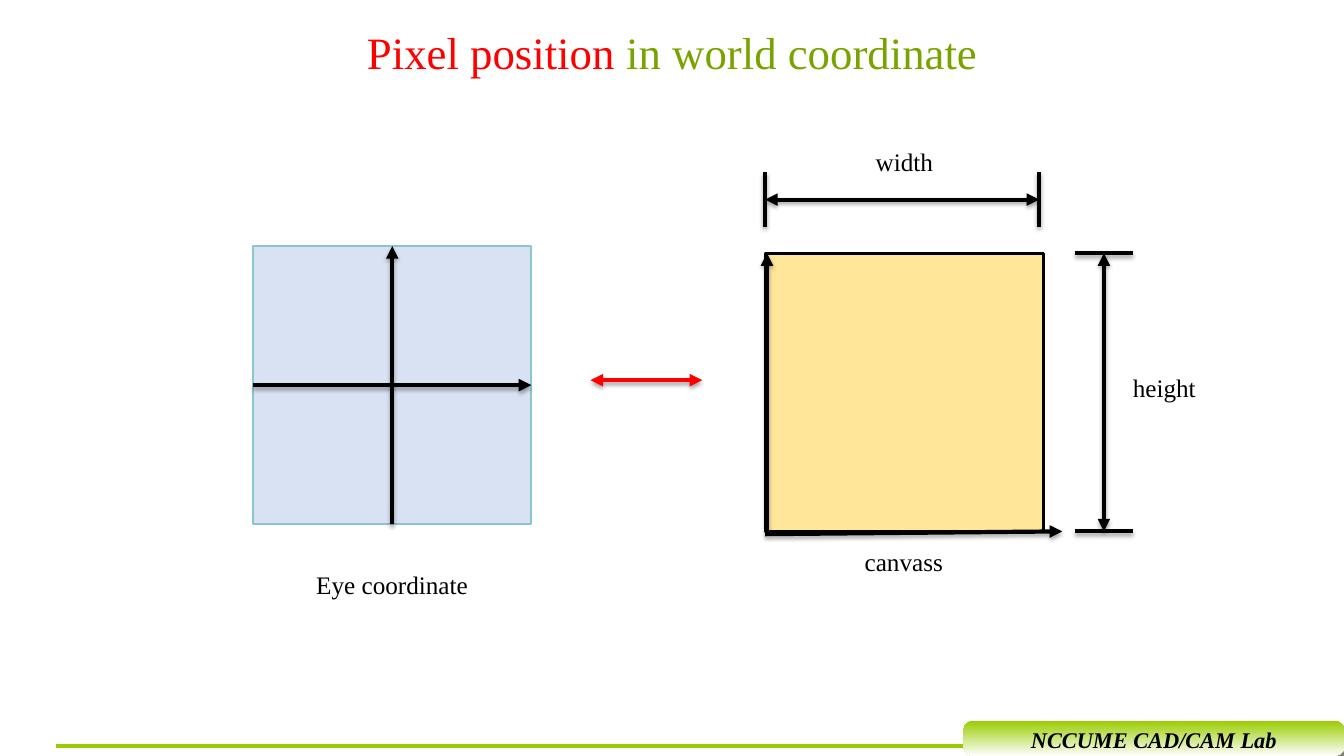
"""Build the slide relating the eye coordinate square to the canvass in pixels."""
from lxml import etree
from pptx import Presentation
from pptx import util as u
from pptx.dml.color import RGBColor
from pptx.enum import shapes, text
from pptx.oxml import ns

BLACK = RGBColor(0x00, 0x00, 0x00)
RED = RGBColor(0xFF, 0x00, 0x00)
GREEN = RGBColor(0x79, 0xA4, 0x00)
LIME = RGBColor(0x99, 0xCC, 0x00)
WHITE = RGBColor(0xFF, 0xFF, 0xFF)
GREY = RGBColor(0x80, 0x80, 0x80)
YELLOW = RGBColor(0xFF, 0xE6, 0x99)
BLUE = RGBColor(0xB4, 0xC7, 0xE7)
TEAL = RGBColor(0x8A, 0xC6, 0xCD)

deck = Presentation()
deck.slide_width, deck.slide_height = u.Cm(33.87), u.Cm(19.05)
slide = deck.slides.add_slide(deck.slide_layouts[6])


def draw_line(start, end, color=BLACK, arrows=(), shadow=True):
    line = slide.shapes.add_connector(
        shapes.MSO_CONNECTOR.STRAIGHT, *[u.Cm(v) for v in (*start, *end)])
    line.line.color.rgb = color
    line.line.width = u.Pt(3)
    for arrow in arrows:
        etree.SubElement(line.line._get_or_add_ln(), ns.qn(f"a:{arrow}"), type="triangle")
    effects = etree.SubElement(line._element.spPr, ns.qn("a:effectLst"))
    if shadow:
        cast = etree.SubElement(effects, ns.qn("a:outerShdw"), blurRad="39370",
                                dist="22860", dir="5400000", rotWithShape="0")
        tone = etree.SubElement(cast, ns.qn("a:srgbClr"), val=str(BLACK))
        etree.SubElement(tone, ns.qn("a:alpha"), val="35000")


def write(left, top, width, height, runs, size=18, centred=False, emphasis=None):
    frame = slide.shapes.add_textbox(*[u.Cm(v) for v in (left, top, width, height)]).text_frame
    frame.word_wrap = centred
    frame.vertical_anchor = text.MSO_ANCHOR.MIDDLE if centred else text.MSO_ANCHOR.TOP
    line = frame.paragraphs[0]
    line.alignment = text.PP_ALIGN.CENTER if centred else text.PP_ALIGN.LEFT
    for words, color in runs:
        run = line.add_run()
        run.text = words
        run.font.name = "Times New Roman"
        run.font.size = u.Pt(size)
        run.font.color.rgb = color
        run.font.bold = run.font.italic = emphasis


footer = slide.shapes.add_shape(
    shapes.MSO_SHAPE.ROUNDED_RECTANGLE, u.Cm(24.28), u.Cm(18.16), u.Cm(9.6), u.Cm(0.89))
footer.adjustments[0] = 0.28
footer.fill.gradient()
footer.fill.gradient_angle = 270
for stop, color in zip(footer.fill.gradient_stops, (LIME, WHITE)):
    stop.color.rgb = color
footer.line.fill.background()
footer.shadow.inherit = False
footer_shadow = etree.SubElement(
    footer._element.spPr.find(ns.qn("a:effectLst")), ns.qn("a:outerShdw"),
    dist="107950", dir="2700000", rotWithShape="0")
etree.SubElement(footer_shadow, ns.qn("a:srgbClr"), val=str(GREY))
write(24.28, 18.16, 9.6, 0.94, [("NCCUME CAD/CAM Lab", BLACK)], 16, True, True)
draw_line((1.42, 18.8), (24.28, 18.8), LIME, shadow=False)

write(1.7, 0.3, 30.48, 2.01,
      [("Pixel position ", RED), ("in world coordinate", GREEN)], 32, True)

side = 7.01
canvass_left, canvass_top = 19.28, 6.38
eye_left, eye_top = 6.38, 6.2
squares = [
    (canvass_left, canvass_top, YELLOW, BLACK, 2, 100000),
    (eye_left, eye_top, BLUE, TEAL, 1.5, 50000),
]
for left, top, fill, border, weight, opacity in squares:
    square = slide.shapes.add_shape(
        shapes.MSO_SHAPE.RECTANGLE, u.Cm(left), u.Cm(top), u.Cm(side), u.Cm(side))
    square.fill.solid()
    square.fill.fore_color.rgb = fill
    tone = square._element.spPr.find(ns.qn("a:solidFill"))[0]
    etree.SubElement(tone, ns.qn("a:alpha"), val=str(opacity))
    square.line.color.rgb = border
    square.line.width = u.Pt(weight)
    square.shadow.inherit = False

canvass_bottom = canvass_top + side
eye_middle_x, eye_middle_y = eye_left + side / 2, eye_top + side / 2
axes = [
    ((canvass_left, 13.46), (26.77, canvass_bottom)),
    ((19.33, canvass_bottom), (19.33, canvass_top)),
    ((eye_left, eye_middle_y), (eye_left + side, eye_middle_y)),
    ((eye_middle_x, eye_top + side), (eye_middle_x, eye_top)),
]
for start, end in axes:
    draw_line(start, end, arrows=["tailEnd"])

width_right = 26.19
for x in (canvass_left, width_right):
    draw_line((x, 4.34), (x, 5.72))
for y in (canvass_top, canvass_bottom):
    draw_line((27.1, y), (28.55, y))

spans = [
    ((canvass_left, 5.03), (width_right, 5.03), BLACK),
    ((27.82, canvass_bottom), (27.82, canvass_top), BLACK),
    ((14.88, 9.58), (17.7, 9.58), RED),
]
for start, end, color in spans:
    draw_line(start, end, color, ["headEnd", "tailEnd"])

labels = [
    ("width", 21.82, 3.56, 2.01),
    ("height", 28.3, 9.25, 2.11),
    ("canvass", 21.54, 13.64, 2.51),
    ("Eye coordinate", 7.72, 14.22, 4.37),
]
for label, left, top, width in labels:
    write(left, top, width, 1.02, [(label, BLACK)])

deck.save("out.pptx")
